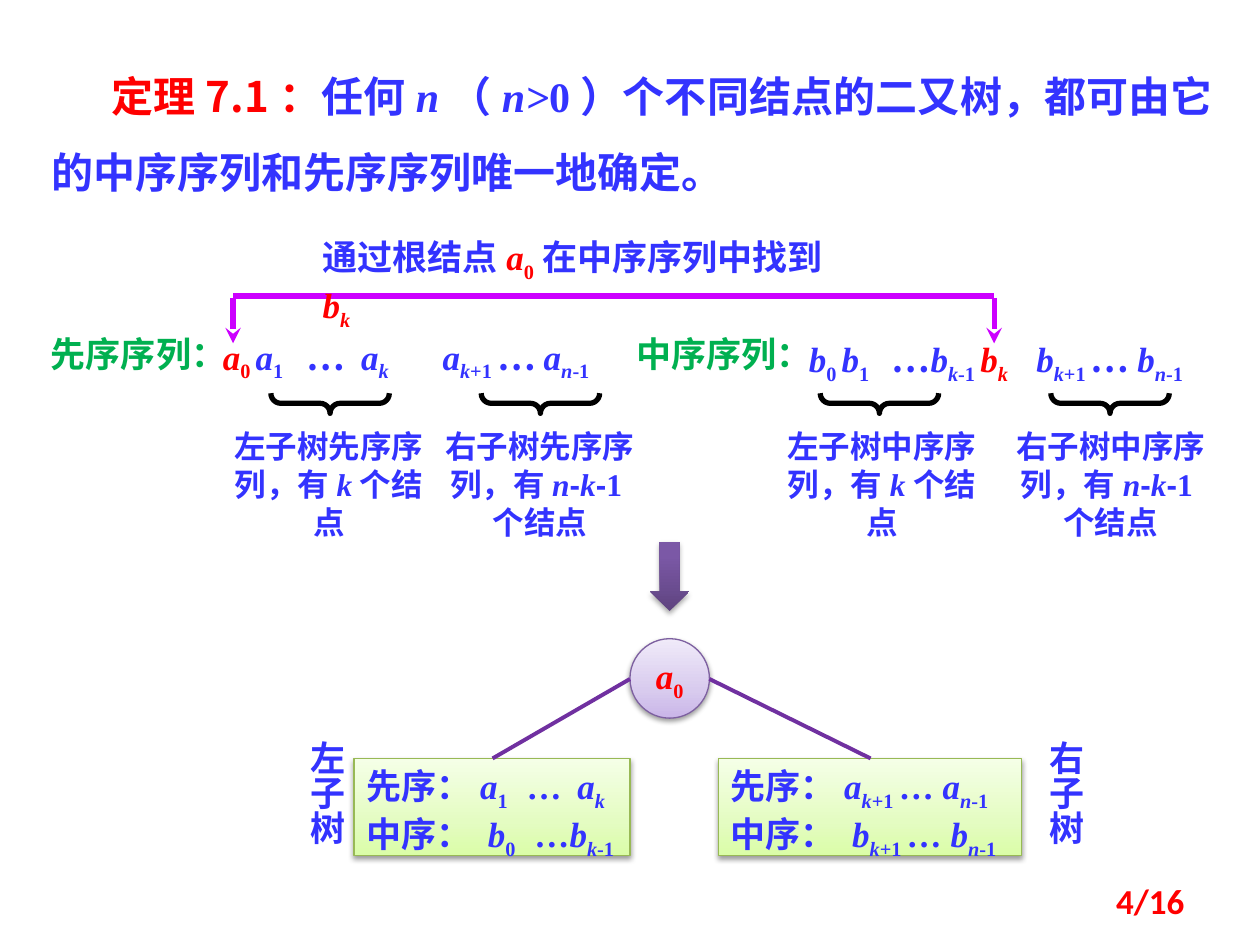
from typing import NamedTuple

from pptx import Presentation
from pptx import util as u
from pptx.dml.color import RGBColor
from pptx.enum import shapes, text
from pptx.oxml import ns, xmlchemy

SERIF, SANS, ARIAL = "Times New Roman", "Noto Sans CJK SC", "Arial"
BLUE, RED, GREEN, MAGENTA, PURPLE = "3333FF", "FF0000", "00B050", "CC00FF", "7030A0"
LILAC_FILL = {0: "C9B5E8", 35: "D8CBEE", 100: "F0EAF9"}
LIME_FILL = {0: "DAFDA7", 35: "E4FCC2", 100: "F5FFE7"}
ARROW_FILL = {0: "5F4480", 80: "7B58A6", 100: "7C57A8"}
LEFT, CENTER = text.PP_ALIGN.LEFT, text.PP_ALIGN.CENTER


class Box(NamedTuple):
    left: float
    top: float
    width: float
    height: float

    def points(self):
        return [u.Pt(value) for value in self]


class Span(NamedTuple):
    text: str
    color: str = BLUE
    italic: bool = False
    low: bool = False
    font: str = SERIF


class Subtree(NamedTuple):
    caption: Box
    brace_left: float
    spans: list[Span]


def rgb(color: str) -> RGBColor:
    return RGBColor.from_string(color)


def var(name: str, index: str = "", rest: str = "", color: str = BLUE) -> list[Span]:
    """Italic variable with a subscript: an italic index, then an upright rest."""
    spans = [Span(name, color, True), Span(index, color, True, True), Span(rest, color, low=True)]
    return [span for span in spans if span.text]


def child(parent, tag: str, **attributes):
    element = xmlchemy.OxmlElement(tag)
    for name, value in attributes.items():
        element.set(name, str(value))
    parent.append(element)
    return element


def write(para, spans: list[Span], size: float = 20, align=LEFT, tabs: tuple = (),
          font: str = SERIF) -> None:
    if tabs:
        stops = child(para._p.get_or_add_pPr(), "a:tabLst")
        for stop in tabs:
            child(stops, "a:tab", pos=u.Pt(stop), algn="l")
    para.alignment = align
    para.font.size, para.font.bold, para.font.name = u.Pt(size), True, font
    for span in spans:
        run = para.add_run()
        run.text = span.text
        run.font.color.rgb = rgb(span.color)
        run.font.italic = span.italic
        run.font.name = span.font
        properties = run._r.get_or_add_rPr()
        child(properties, "a:ea", typeface=SANS)
        if span.low:
            properties.set("baseline", "-25000")


def set_margins(frame, side: float, end: float) -> None:
    frame.margin_left = frame.margin_right = u.Pt(side)
    frame.margin_top = frame.margin_bottom = u.Pt(end)


def add_text(page, box: Box, spans: list[Span], side: float = 0, end: float = 0, **style):
    frame = page.shapes.add_textbox(*box.points()).text_frame
    frame.word_wrap = True
    set_margins(frame, side, end)
    write(frame.paragraphs[0], spans, **style)
    return frame


def add_shaded(page, kind, box: Box, stops: dict[int, str], outline: str = "",
               shadow_alpha: int = 38):
    """Add a shape with a bottom-to-top gradient and a soft shadow below."""
    shape = page.shapes.add_shape(kind, *box.points())
    shape.fill.gradient()
    gradient = shape._element.spPr.find(ns.qn("a:gradFill"))
    stop_list = gradient.find(ns.qn("a:gsLst"))
    for old in list(stop_list):
        stop_list.remove(old)
    for position, color in stops.items():
        child(child(stop_list, "a:gs", pos=position * 1000), "a:srgbClr", val=color)
    gradient.find(ns.qn("a:lin")).set("ang", "16200000")
    if outline:
        shape.line.color.rgb = rgb(outline)
        shape.line.width = u.Pt(0.75)
    else:
        shape.line.fill.background()
    shape.shadow.inherit = False
    effects = shape._element.spPr.find(ns.qn("a:effectLst"))
    shadow = child(effects, "a:outerShdw", blurRad=u.Pt(3.1), dist=u.Pt(1.6), dir=5400000,
                   rotWithShape=0)
    child(child(shadow, "a:srgbClr", val="000000"), "a:alpha", val=shadow_alpha * 1000)
    return shape


def add_line(page, start: tuple, end: tuple, color: str, width: float, arrow: bool = False):
    line = page.shapes.add_connector(shapes.MSO_CONNECTOR.STRAIGHT,
                                     *[u.Pt(value) for value in start + end])
    line.line.color.rgb = rgb(color)
    line.line.width = u.Pt(width)
    if arrow:
        child(line.line._get_or_add_ln(), "a:tailEnd", type="stealth")
    child(line._element.spPr, "a:effectLst")


def add_brace(page, left: float) -> None:
    brace = page.shapes.add_shape(shapes.MSO_SHAPE.LEFT_BRACE,
                                  *Box(left, 196.6, 11.5, 67.7).points())
    brace.rotation = 270
    brace.adjustments[0] = 0.498
    brace.fill.background()
    brace.line.color.rgb = rgb("000000")
    brace.line.width = u.Pt(3)
    brace.shadow.inherit = False


def add_node_list(page, box: Box, rows: list[tuple[list[Span], tuple]]) -> None:
    shape = add_shaded(page, shapes.MSO_SHAPE.RECTANGLE, box, LIME_FILL, "98B955")
    frame = shape.text_frame
    frame.word_wrap = True
    frame.vertical_anchor = text.MSO_ANCHOR.TOP
    for number, (spans, tabs) in enumerate(rows):
        para = frame.add_paragraph() if number else frame.paragraphs[0]
        write(para, spans, tabs=tabs)


def left_caption(order: str) -> list[Span]:
    return [Span(f"左子树{order}序列，有"), *var("k"), Span("个结点")]


def right_caption(order: str) -> list[Span]:
    hyphen = Span("-", font=ARIAL)
    return [Span(f"右子树{order}序列，有"), *var("n"), hyphen, *var("k"), hyphen, Span("1个结点")]


def main() -> None:
    deck = Presentation()
    deck.slide_width, deck.slide_height = u.Pt(720), u.Pt(540)
    page = deck.slides.add_slide(deck.slide_layouts[5])

    title = page.shapes.title
    title.left, title.top, title.width, title.height = Box(22.3, 22.3, 678.2, 94.3).points()
    frame = title.text_frame
    frame.word_wrap = True
    frame.auto_size = text.MSO_AUTO_SIZE.NONE
    frame.vertical_anchor = text.MSO_ANCHOR.TOP
    para = frame.paragraphs[0]
    para._p.get_or_add_pPr().set("indent", str(u.Pt(34)))
    para.line_spacing = 1.5
    write(para, [Span("定理7.1：", RED, font=SANS), Span("任何"), *var("n"), Span("（"), *var("n>"),
                 Span("0）个不同结点的二又树，都可由它的中序序列和先序序列唯一地确定。")],
          size=24, align=text.PP_ALIGN.JUSTIFY)

    dots, dots_serif, tab = Span("… ", font=SANS), Span("… "), Span("\t")
    add_text(page, Box(25.2, 190.1, 108, 23.8), [Span("先序序列：", GREEN)], align=CENTER)
    add_text(page, Box(127.4, 191.5, 226.8, 24.5),
             [*var("a", rest="0 ", color=RED), *var("a", rest="1"), tab, Span("…", font=SANS), tab,
              *var("a", "k"), tab, *var("a", "k", "+1 "), dots, *var("a", "n", "-1")],
             tabs=(47.5, 79, 125.5))
    add_text(page, Box(360, 190.1, 108, 23.8), [Span("中序序列：", GREEN)], align=CENTER)
    add_text(page, Box(462.2, 193, 224, 24.5),
             [*var("b", rest="0 "), *var("b", rest="1"), tab, Span("…", font=SANS),
              *var("b", "k", "-1 "), *var("b", "k", color=RED), tab, *var("b", "k", "+1 "), dots,
              *var("b", "n", "-1")],
             tabs=(47.5, 130))

    for subtree in (Subtree(Box(133.9, 244, 108, 65.5), 182.9, left_caption("先序")),
                    Subtree(Box(252, 244, 113, 65.5), 303.1, right_caption("先序")),
                    Subtree(Box(450, 244, 108, 65.5), 496.8, left_caption("中序")),
                    Subtree(Box(578.2, 244, 113, 65.5), 628.6, right_caption("中序"))):
        add_text(page, subtree.caption, subtree.spans, size=18, align=CENTER)
        add_brace(page, subtree.brace_left)

    root_x, match_x, link_y = 133.2, 568.1, 169.2
    add_line(page, (root_x, link_y), (match_x, link_y), MAGENTA, 3)
    for x in (root_x, match_x):
        add_line(page, (x, link_y + 1), (x, link_y + 27), MAGENTA, 3, arrow=True)
    add_text(page, Box(184.3, 134.6, 300, 23.8),
             [Span("通过根结点"), *var("a", rest="0", color=RED), Span("在中序序列中找到"),
              *var("b", "k", color=RED)])

    root = add_shaded(page, shapes.MSO_SHAPE.OVAL, Box(360, 365, 45.4, 45.4), LILAC_FILL, "7D60A0")
    set_margins(root.text_frame, 0, 3.6)
    write(root.text_frame.paragraphs[0], var("a", rest="0", color=RED), align=CENTER)
    add_node_list(page, Box(202.3, 433.4, 157.7, 55.5), [
        ([Span("先序："), *var("a", rest="1"), tab, Span("…"), tab, *var("a", "k")], (91.5, 120.5)),
        ([Span("中序："), *var(" b", rest="0"), tab, Span("…"), *var("b", "k", "-1")], (96,))])
    add_node_list(page, Box(410.4, 433.4, 173.5, 55.5), [
        ([Span(order), *var(name, "k", "+1 "), dots_serif, *var(name.strip(), "n", "-1")], ())
        for order, name in (("先序：", "a"), ("中序：", " b"))])
    for left, label in ((163.4, "左子树"), (585.4, "右子树")):
        frame = add_text(page, Box(left, 416.2, 38.9, 95.8), [Span(label, font=SANS)],
                         side=7.2, end=3.6, font=SANS)
        frame._txBody.bodyPr.set("vert", "eaVert")
    add_line(page, (360, 388), (281.5, 433.4), PURPLE, 2.25)
    add_line(page, (405.4, 388), (497.5, 433.4), PURPLE, 2.25)
    add_shaded(page, shapes.MSO_SHAPE.DOWN_ARROW, Box(371.5, 309.6, 22.3, 39.6), ARROW_FILL,
               shadow_alpha=35)

    frame = add_text(page, Box(516.2, 500.4, 167.8, 28.8), [Span("4/16", RED, font="Calibri")],
                     side=7.2, end=3.6, align=text.PP_ALIGN.RIGHT, font="Calibri")
    frame.vertical_anchor = text.MSO_ANCHOR.MIDDLE
    deck.save("out.pptx")


if __name__ == "__main__":
    main()
